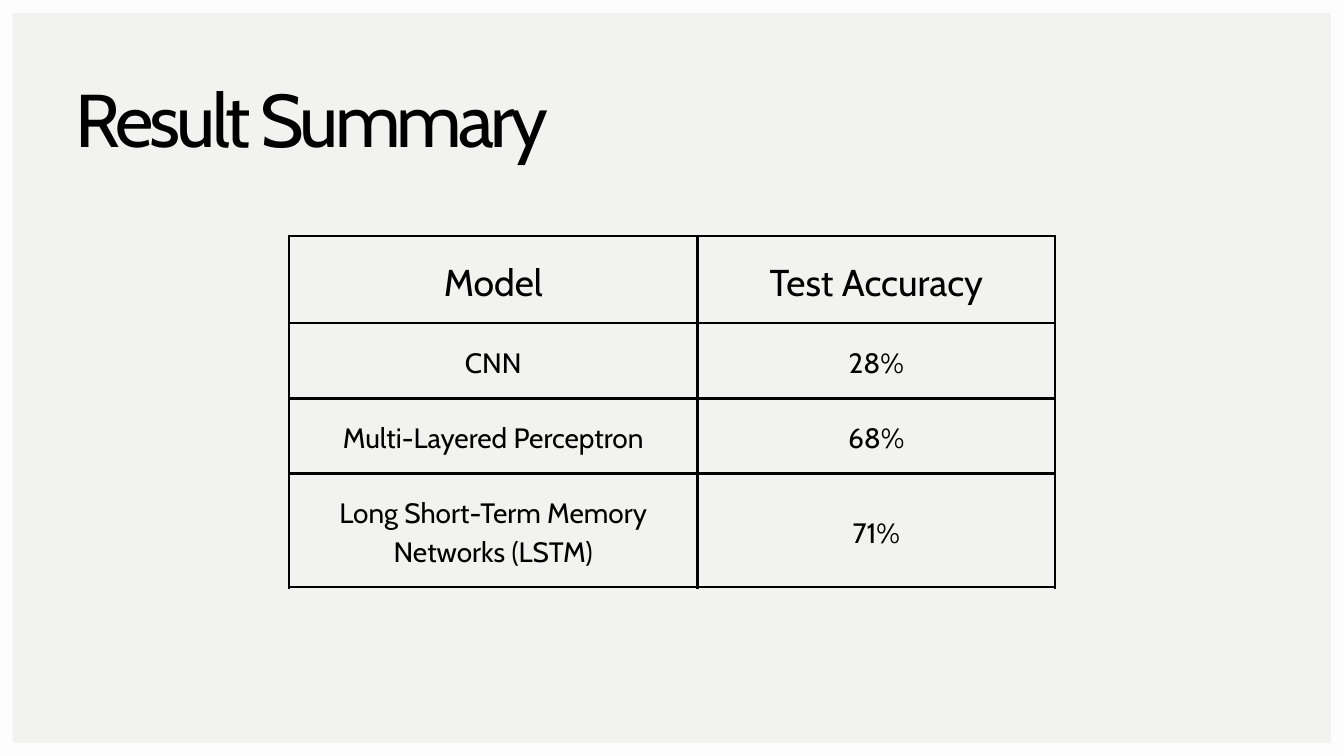
from lxml import etree
from pptx import Presentation
from pptx.dml.color import RGBColor
from pptx.enum.shapes import MSO_SHAPE
from pptx.enum.text import MSO_ANCHOR, PP_ALIGN
from pptx.oxml.ns import qn
from pptx.util import Inches, Pt

FRAME = MSO_SHAPE.FRAME
CENTER = PP_ALIGN.CENTER
MIDDLE = MSO_ANCHOR.MIDDLE

BACKGROUND = RGBColor(0xF2, 0xF2, 0xF0)
BORDER = RGBColor(0xFD, 0xFD, 0xFD)
BLACK = RGBColor(0, 0, 0)
FONT = "Cabin"

SLIDE_WIDTH, SLIDE_HEIGHT = 20, 11.25
FRAME_THICKNESS = 0.19
COLUMN_WIDTHS = [6.08, 5.32]
ROW_HEIGHTS = [1.3, 1.12, 1.12, 1.69]
RESULTS = [
    ("Model", "Test Accuracy"),
    ("CNN", "28%"),
    ("Multi-Layered Perceptron", "68%"),
    ("Long Short-Term Memory Networks (LSTM)", "71%"),
]


def style_paragraph(paragraph, size, line_spacing):
    """Set the font and line spacing of a paragraph."""
    paragraph.line_spacing = Pt(line_spacing)
    paragraph.font.name = FONT
    paragraph.font.size = Pt(size)
    paragraph.font.color.rgb = BLACK


def add_frame(slide):
    """Draw the pale frame around the slide."""
    frame = slide.shapes.add_shape(
        FRAME, 0, 0, Inches(SLIDE_WIDTH), Inches(SLIDE_HEIGHT))
    frame.adjustments[0] = FRAME_THICKNESS / SLIDE_HEIGHT
    frame.shadow.inherit = False
    frame.fill.solid()
    frame.fill.fore_color.rgb = BORDER
    frame.line.fill.background()


def add_title(slide, text):
    """Add the tightly spaced title."""
    title = slide.shapes.add_textbox(
        Inches(1.12), Inches(1.2), Inches(8.88), Inches(1.26))
    text_frame = title.text_frame
    text_frame.word_wrap = True
    text_frame.margin_left = text_frame.margin_right = 0
    text_frame.margin_top = text_frame.margin_bottom = 0
    paragraph = text_frame.paragraphs[0]
    run = paragraph.add_run()
    run.text = text
    style_paragraph(paragraph, 80, 88)
    run.font._element.set("spc", "-400")


def set_borders(cell, width):
    """Draw a black line on all four sides of a cell."""
    properties = cell._tc.get_or_add_tcPr()
    for side in ("lnL", "lnR", "lnT", "lnB"):
        line = etree.SubElement(properties, qn(f"a:{side}"), w=str(Pt(width)))
        fill = etree.SubElement(line, qn("a:solidFill"))
        etree.SubElement(fill, qn("a:srgbClr"), val=str(BLACK))


def fill_cell(cell, text, size):
    """Write centred text in a bordered, transparent cell."""
    cell.text = text
    cell.vertical_anchor = MIDDLE
    cell.margin_left = cell.margin_right = Inches(0.21)
    cell.margin_top = cell.margin_bottom = Inches(0.21)
    set_borders(cell, 3)
    cell.fill.background()
    paragraph = cell.text_frame.paragraphs[0]
    paragraph.alignment = CENTER
    style_paragraph(paragraph, size, size * 1.4)


def add_results_table(slide):
    """Add the table of models and their accuracy."""
    table = slide.shapes.add_table(
        len(ROW_HEIGHTS), len(COLUMN_WIDTHS), Inches(4.3), Inches(3.51),
        Inches(sum(COLUMN_WIDTHS)), Inches(sum(ROW_HEIGHTS))).table
    table.first_row = False
    table.horz_banding = False
    for column, width in zip(table.columns, COLUMN_WIDTHS):
        column.width = Inches(width)
    for row_index, (row, height) in enumerate(zip(table.rows, ROW_HEIGHTS)):
        row.height = Inches(height)
        for cell, text in zip(row.cells, RESULTS[row_index]):
            fill_cell(cell, text, 40 if row_index == 0 else 30)


def main():
    """Build the slide and save it."""
    presentation = Presentation()
    presentation.slide_width = Inches(SLIDE_WIDTH)
    presentation.slide_height = Inches(SLIDE_HEIGHT)
    slide = presentation.slides.add_slide(presentation.slide_layouts[6])
    slide.background.fill.solid()
    slide.background.fill.fore_color.rgb = BACKGROUND
    add_frame(slide)
    add_results_table(slide)
    add_title(slide, "Result Summary")
    presentation.save("out.pptx")


if __name__ == "__main__":
    main()
